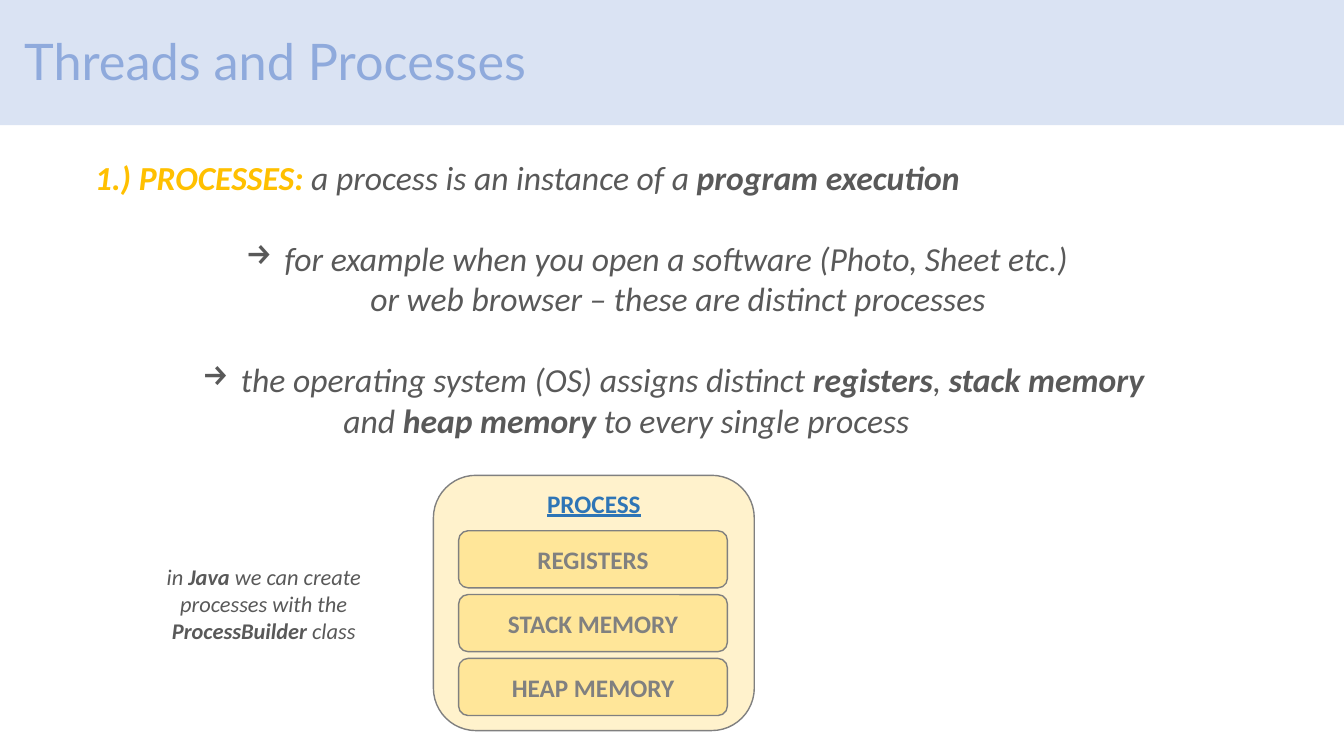
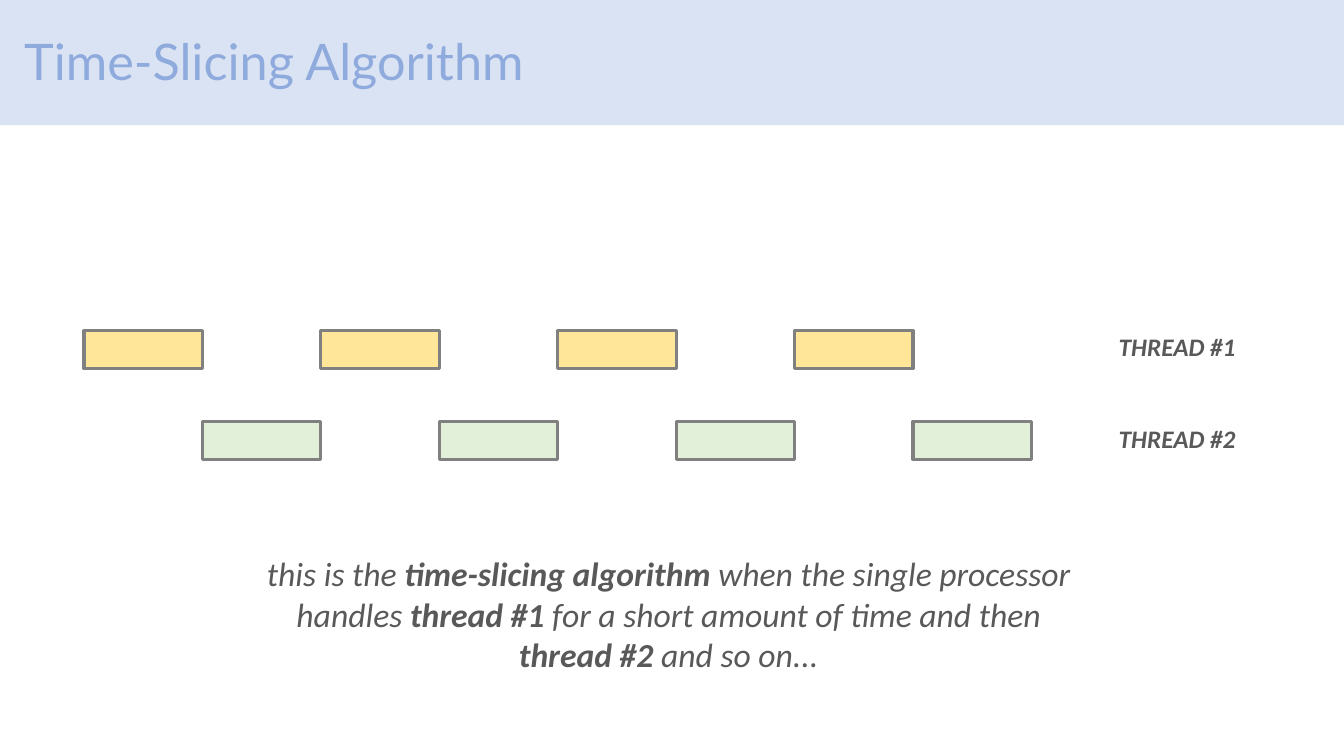
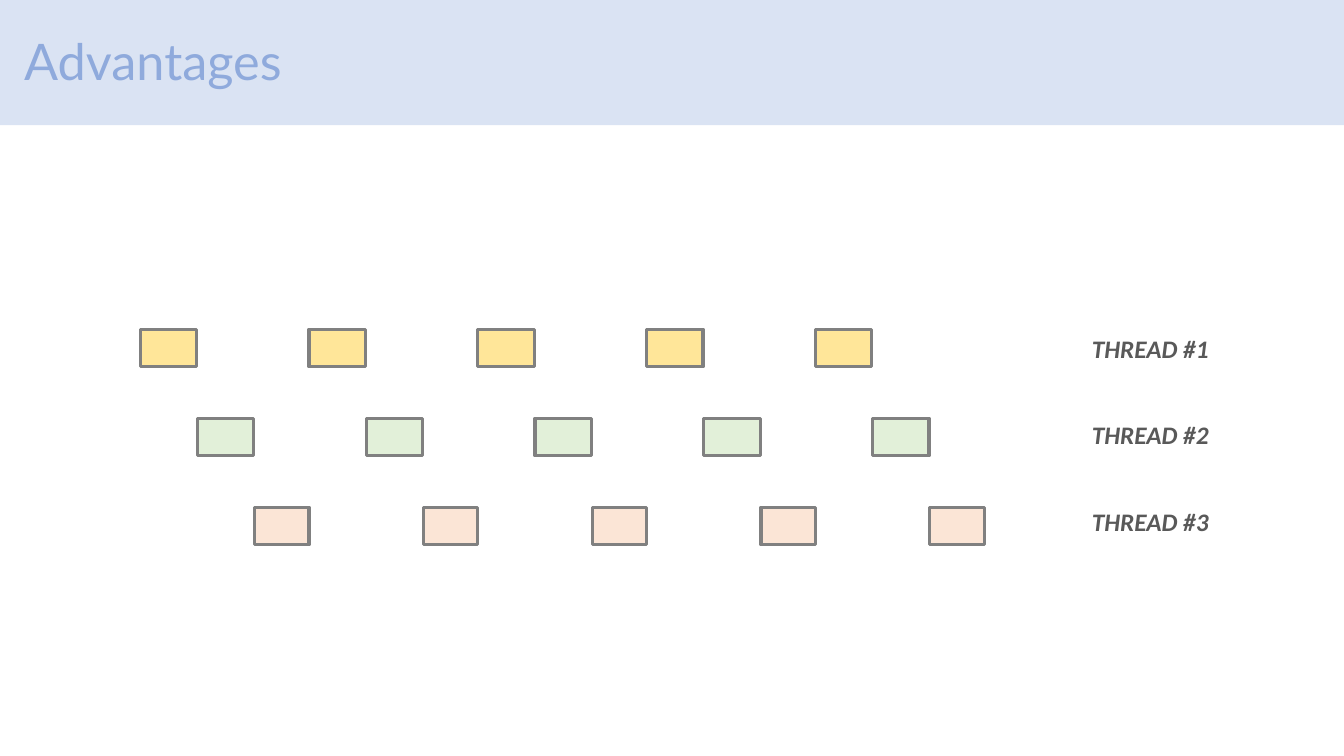
"""Build three slides on processes, threads and time slicing."""
from pptx import Presentation
from pptx.dml.color import RGBColor
from pptx.enum.shapes import MSO_SHAPE
from pptx.enum.text import MSO_ANCHOR, PP_ALIGN
from pptx.oxml.ns import qn
from pptx.util import Inches, Pt
from lxml import etree

RECTANGLE = MSO_SHAPE.RECTANGLE
ROUNDED = MSO_SHAPE.ROUNDED_RECTANGLE
LEFT, CENTER = PP_ALIGN.LEFT, PP_ALIGN.CENTER
TOP, MIDDLE = MSO_ANCHOR.TOP, MSO_ANCHOR.MIDDLE
COLORS = {
    "band": "DAE3F3", "title": "8FAADC", "text": "595959", "lead": "FFC000",
    "heading": "2E75B6", "outline": "808080", "cream": "FFF2CC",
    "yellow": "FFE699", "green": "E2F0D9", "peach": "FBE5D6",
}

deck = Presentation()
deck.slide_width, deck.slide_height = Inches(13.33), Inches(7.5)
COLUMNS = 16
CELL = deck.slide_width / COLUMNS


def draw(page, kind, left, top, width, height, fill=None, line=0):
    """Add a shape, or a text box when kind is None, measured in grid cells."""
    place = [round(CELL * value) for value in (left, top, width, height)]
    if kind is None:
        return page.shapes.add_textbox(*place)
    box = page.shapes.add_shape(kind, *place)
    box.shadow.inherit = False
    box.fill.solid()
    box.fill.fore_color.rgb = RGBColor.from_string(COLORS[fill])
    if line:
        box.line.color.rgb = RGBColor.from_string(COLORS["outline"])
        box.line.width = Pt(line)
    else:
        box.line.fill.background()
    return box


def write(box, text, size=24, color="text", font="Calibri", bold=False, italic=False,
          underline=False, align=CENTER, anchor=TOP, spacing=None):
    """Fill a box with lines of text; asterisks enclose bold spans."""
    frame = box.text_frame
    frame.word_wrap = True
    frame.vertical_anchor = anchor
    for row, line in enumerate(text.split("\n")):
        para = frame.add_paragraph() if row else frame.paragraphs[0]
        para.alignment = align
        para.line_spacing = spacing
        for index, part in enumerate(line.split("*")):
            if part:
                span = para.add_run()
                span.text = part
                span.font.name, span.font.size = font, Pt(size)
                span.font.bold = bold or index % 2 == 1
                span.font.italic, span.font.underline = italic, underline
                span.font.color.rgb = RGBColor.from_string(COLORS[color])
    return frame.paragraphs


pages = []
for title in ("Threads and Processes", "Time-Slicing Algorithm", "Advantages"):
    page = deck.slides.add_slide(deck.slide_layouts[6])
    draw(page, RECTANGLE, 0, 0, COLUMNS, 1.49, "band")
    write(draw(page, None, 0.17, 0, 13.8, 1.52), title, size=36, color="title",
          font="Lato", align=LEFT, anchor=MIDDLE, spacing=0.9)
    pages.append(page)
process_page, slicing_page, advantages_page = pages

definition = write(
    draw(process_page, None, 1.01, 1.81, 13.8, 3.54),
    "*1.) PROCESSES: *a process is an instance of a *program execution*\n"
    "for example when you open a software (Photo, Sheet etc.)\n"
    "or web browser – these are distinct processes\n"
    "the operating system (OS) assigns distinct *registers*, *stack memory*\n"
    "and *heap memory* to every single process",
    italic=True, align=LEFT)
definition[0].runs[0].font.color.rgb = RGBColor.from_string(COLORS["lead"])
for para, margin, hanging in zip(definition[1:], (2.26, 3.28, 1.74, 2.96),
                                 (True, False, True, False)):
    properties = para._p.get_or_add_pPr()
    properties.set("marL", str(round(CELL * margin)))
    properties.set("indent", str(round(CELL * -0.46) if hanging else 0))
    if hanging:
        etree.SubElement(properties, qn("a:buChar")).set("char", "→")
        para.space_before = Pt(29)

draw(process_page, ROUNDED, 5.16, 5.66, 3.82, 3.04, "cream", 1)
write(draw(process_page, None, 5.16, 5.75, 3.82, 0.48), "PROCESS", size=18,
      color="heading", bold=True, underline=True)
for row, part in enumerate(("REGISTERS", "STACK MEMORY", "HEAP MEMORY")):
    write(draw(process_page, ROUNDED, 5.46, 6.32 + 0.76 * row, 3.2, 0.68, "yellow", 1),
          part, size=18, color="outline", bold=True, anchor=MIDDLE)
write(draw(process_page, None, 1.85, 6.65, 2.58, 1.09),
      "in *Java* we can create\nprocesses with the\n*ProcessBuilder* class",
      size=16, italic=True)

timelines = [
    dict(page=slicing_page, left=1, top=3.94, lane_gap=1.08, period=2.82, slots=4,
         shift=1.41, widths=(1.41, 1.41), label_left=13.2, label_top=3.89, label_gap=1.09),
    dict(page=advantages_page, left=1.67, top=3.92, lane_gap=1.06, period=2.01, slots=5,
         shift=0.68, widths=(0.67, 0.67, 0.65), label_left=12.88, label_top=3.91,
         label_gap=1.03),
]
for timeline in timelines:
    page = timeline["page"]
    for lane, (width, fill) in enumerate(zip(timeline["widths"], ("yellow", "green", "peach"))):
        start = timeline["left"] + timeline["shift"] * lane
        top = timeline["top"] + timeline["lane_gap"] * lane
        for slot in range(timeline["slots"]):
            draw(page, RECTANGLE, start + timeline["period"] * slot, top, width, 0.45, fill, 2.25)
        label_top = timeline["label_top"] + timeline["label_gap"] * lane
        write(draw(page, None, timeline["label_left"], label_top, 1.8, 0.48),
              f"THREAD #{lane + 1}", size=18, bold=True, italic=True, align=LEFT)

write(draw(slicing_page, None, 2.95, 6.53, 10.02, 1.55),
      "this is the *time-slicing algorithm* when the single processor\n"
      "handles *thread #1* for a short amount of time and then\n"
      "*thread #2* and so on...", italic=True)

deck.save("out.pptx")
